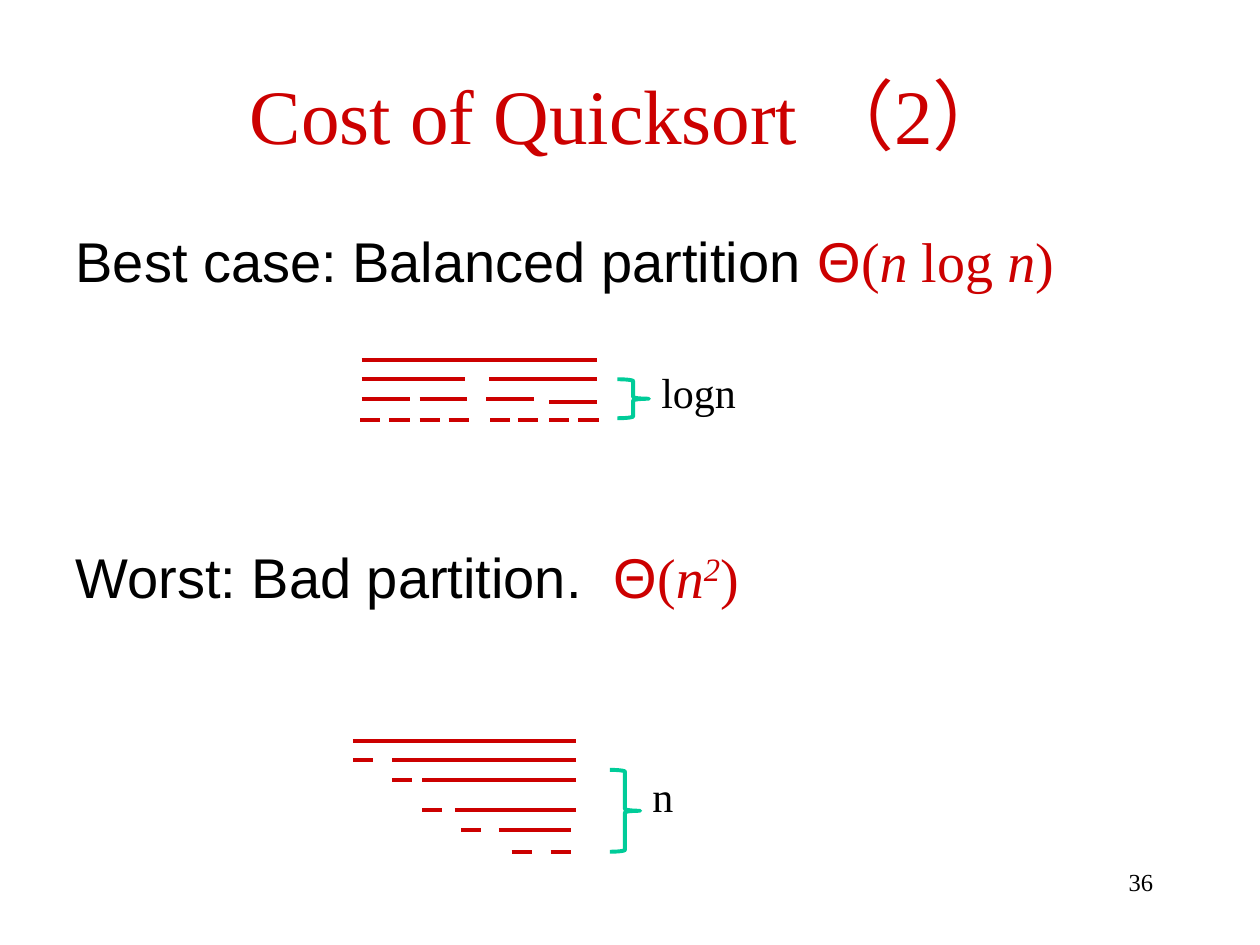
from lxml.etree import SubElement
from pptx import Presentation
from pptx.dml.color import RGBColor
from pptx.enum.shapes import MSO_CONNECTOR, MSO_SHAPE
from pptx.enum.text import MSO_ANCHOR, MSO_AUTO_SIZE, PP_ALIGN
from pptx.oxml.ns import qn
from pptx.util import Inches, Pt

COLORS = {"red": "CC0000", "green": "00CC99", "black": "000000"}
SERIF, SANS = "Times New Roman", "Arial"

presentation = Presentation()
presentation.slide_width, presentation.slide_height = Inches(10), Inches(7.5)
slide = presentation.slides.add_slide(presentation.slide_layouts[1])

# Grid of 10 columns by 7.5 rows
COLUMN = presentation.slide_width / 10
ROW = presentation.slide_height / 7.5


def place(left, top, width, height):
    return [round(length) for length in
            (left * COLUMN, top * ROW, width * COLUMN, height * ROW)]


def add_text(paragraph, text, size=32, font=SERIF, color="red", italic=False, raised=False):
    run = paragraph.add_run()
    run.text = text
    run.font.size, run.font.name, run.font.italic = Pt(size), font, italic
    run.font.color.rgb = RGBColor.from_string(COLORS[color])
    if raised:
        run.font._element.set("baseline", "30000")


# Title
title = slide.shapes.title
title.left, title.top, title.width, title.height = place(0.5, 0.4, 9, 1)
title.text_frame.auto_size = MSO_AUTO_SIZE.NONE
title.text_frame.vertical_anchor = MSO_ANCHOR.MIDDLE
paragraph = title.text_frame.paragraphs[0]
paragraph.alignment = PP_ALIGN.CENTER
add_text(paragraph, "Cost of Quicksort （2）", size=44)

# Best and worst case statements
body = slide.placeholders[1]
body.left, body.top, body.width, body.height = place(0.5, 1.75, 9, 5)
body.text_frame.auto_size = MSO_AUTO_SIZE.NONE
cases = [
    ("Best case: Balanced partition ", 0,
     [("n", {"italic": True}), (" log ", {}), ("n", {"italic": True})]),
    ("Worst: Bad partition.  ", 142,
     [("n", {"italic": True}), ("2", {"italic": True, "raised": True})]),
]
for index, (label, space, terms) in enumerate(cases):
    paragraph = body.text_frame.add_paragraph() if index else body.text_frame.paragraphs[0]
    paragraph.space_before = Pt(space)
    properties = paragraph._p.get_or_add_pPr()
    properties.set("marL", str(Inches(0.38)))
    properties.set("indent", str(Inches(-0.38)))
    SubElement(properties, qn("a:buNone"))
    add_text(paragraph, label, font=SANS, color="black")
    add_text(paragraph, "Θ", font=SANS)
    for text, style in [("(", {}), *terms, (")", {})]:
        add_text(paragraph, text, **style)

# Partition levels: row, then start and end column of each segment
DASH = 0.16
levels = [
    # Balanced halves
    (2.86, [(2.87, 4.74)]),
    (3.01, [(2.87, 3.69), (3.88, 4.74)]),
    (3.17, [(left, left + 0.38) for left in (2.87, 3.33, 3.86)]),
    (3.19, [(4.36, 4.74)]),
    (3.33, [(left, left + DASH)
            for left in (2.86, 3.09, 3.33, 3.56, 3.89, 4.11, 4.36, 4.59)]),
    # One element split off each time
    (5.88, [(2.8, 4.57)]),
    (6.03, [(2.8, 2.8 + DASH), (3.11, 4.57)]),
    (6.19, [(3.11, 3.11 + DASH), (3.35, 4.57)]),
    (6.43, [(3.35, 3.35 + DASH), (3.61, 4.57)]),
    (6.59, [(3.66, 3.66 + DASH), (3.96, 4.53)]),
    (6.76, [(4.06, 4.06 + DASH), (4.37, 4.37 + DASH)]),
]
for row, segments in levels:
    for start, end in segments:
        line = slide.shapes.add_connector(
            MSO_CONNECTOR.STRAIGHT, *place(start, row, end, row))
        line.line.color.rgb = RGBColor.from_string(COLORS["red"])
        line.line.width = Pt(2.25)
        SubElement(line._element.spPr, qn("a:effectLst"))

# Braces marking the depth
for box in [(4.9, 3.01, 0.25, 0.31), (4.84, 6.11, 0.24, 0.65)]:
    brace = slide.shapes.add_shape(MSO_SHAPE.RIGHT_BRACE, *place(*box))
    brace.adjustments[0], brace.adjustments[1] = 0.06, 0.5
    brace.shadow.inherit = False
    brace.fill.background()
    brace.line.color.rgb = RGBColor.from_string(COLORS["green"])
    brace.line.width = Pt(2.25)

# Depth labels and page number
labels = [
    ("logn", (5.15, 2.86, 0.79, 0.5), 24, PP_ALIGN.LEFT, False),
    ("n", (5.08, 6.07, 0.37, 0.5), 24, PP_ALIGN.LEFT, False),
    ("36", (7.17, 6.83, 2.08, 0.5), 14, PP_ALIGN.RIGHT, True),
]
for text, box, size, alignment, wrap in labels:
    frame = slide.shapes.add_textbox(*place(*box)).text_frame
    frame.word_wrap = wrap
    frame.paragraphs[0].alignment = alignment
    add_text(frame.paragraphs[0], text, size=size, color="black")

presentation.save("out.pptx")
